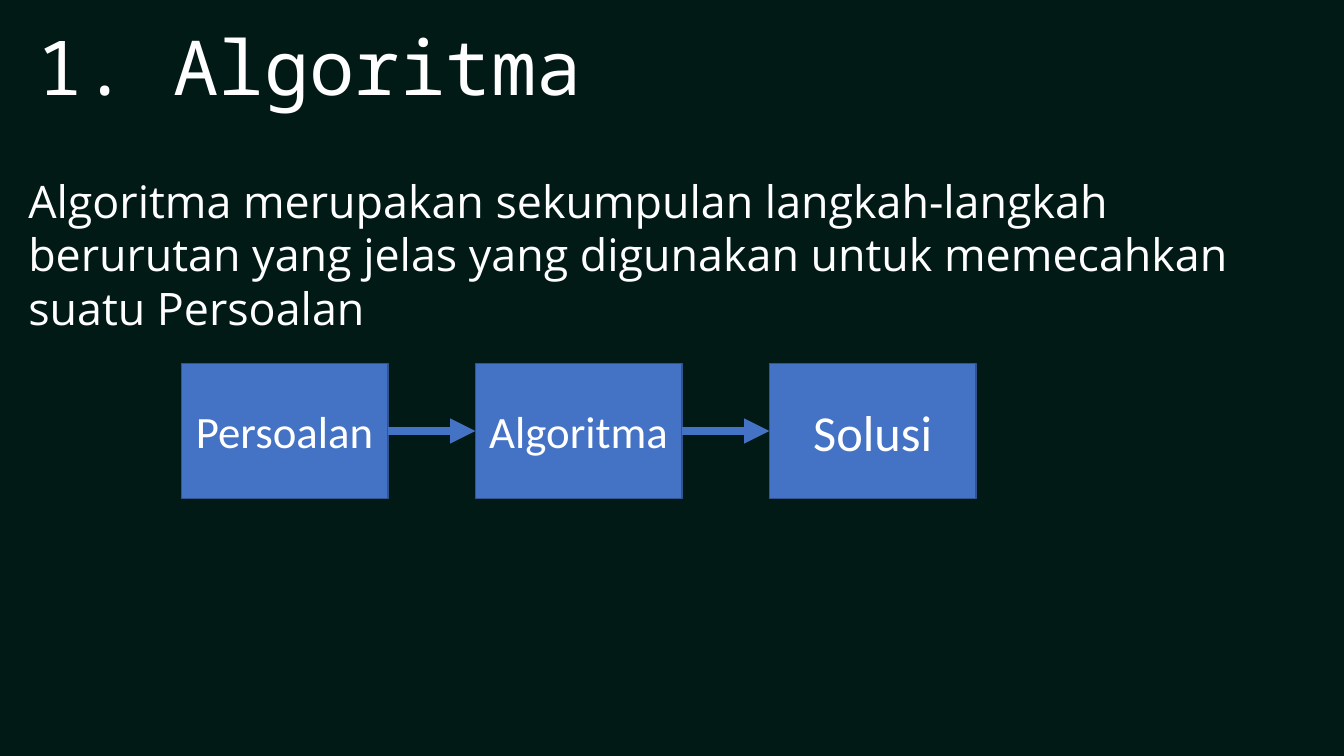
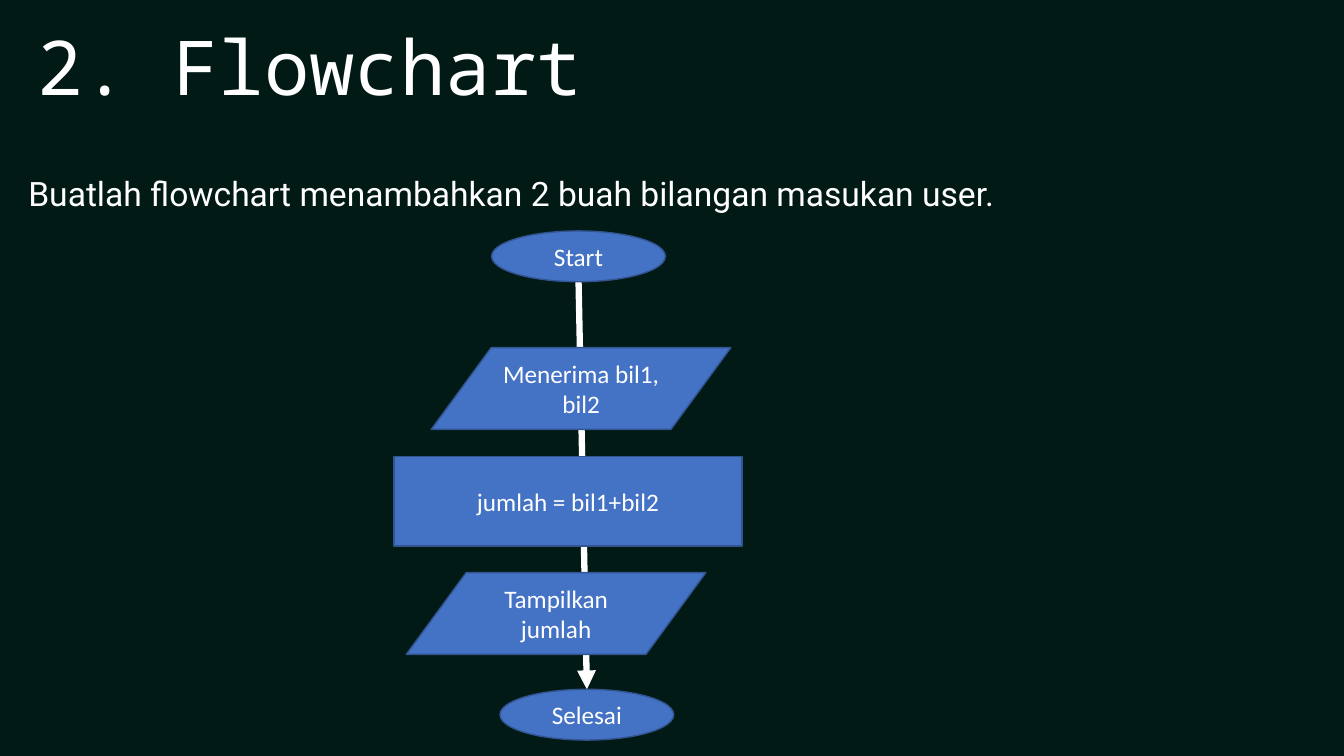
from lxml import etree
from pptx import Presentation
from pptx.dml.color import RGBColor
from pptx.enum.shapes import MSO_CONNECTOR, MSO_SHAPE
from pptx.enum.text import MSO_ANCHOR, MSO_AUTO_SIZE, PP_ALIGN
from pptx.oxml.ns import qn
from pptx.util import Cm, Pt

LEFT, CENTER = PP_ALIGN.LEFT, PP_ALIGN.CENTER
TOP, MIDDLE = MSO_ANCHOR.TOP, MSO_ANCHOR.MIDDLE
NO_FIT = MSO_AUTO_SIZE.NONE
STRAIGHT = MSO_CONNECTOR.STRAIGHT
RECT, OVAL = MSO_SHAPE.RECTANGLE, MSO_SHAPE.OVAL
DATA, PROCESS = MSO_SHAPE.FLOWCHART_DATA, MSO_SHAPE.FLOWCHART_PROCESS

DARK, WHITE, BLUE, EDGE = "011A16", "FFFFFF", "4472C4", "325491"
TITLE_BOX = (0.69, 0.38, 27.1, 2.57)
BODY_LEFT, BODY_TOP, BODY_WIDTH = 0.46, 4.24, 32.97


def paint(fmt, color):
    """Give a fill a solid colour from a hex string."""
    fmt.solid()
    fmt.fore_color.rgb = RGBColor.from_string(color)


def write(tf, text, font="Calibri", size=18, color=WHITE, align=CENTER, anchor=MIDDLE):
    """Write one formatted paragraph into a text frame."""
    tf.word_wrap = True
    tf.auto_size = NO_FIT
    tf.vertical_anchor = anchor
    p = tf.paragraphs[0]
    p.alignment = align
    p.space_before = Pt(0)
    r = p.add_run()
    r.text = text
    r.font.name = font
    r.font.size = Pt(size)
    paint(r.font.fill, color)
    return p


def place(sp, box):
    """Move a shape to a box given in centimetres."""
    sp.left, sp.top, sp.width, sp.height = (Cm(v) for v in box)


def add_topic_slide(prs, title, body, body_height, font, size):
    """Add a slide with its heading and explanatory text."""
    s = prs.slides.add_slide(prs.slide_layouts[1])
    heading, content = s.shapes.title, s.placeholders[1]
    place(heading, TITLE_BOX)
    write(heading.text_frame, title, font="Noto Sans Mono", size=54, align=LEFT, anchor=TOP)
    place(content, (BODY_LEFT, BODY_TOP, BODY_WIDTH, body_height))
    p = write(content.text_frame, body, font=font, size=size, align=LEFT, anchor=TOP)
    pPr = p._p.get_or_add_pPr()
    pPr.set("marL", "0")
    pPr.set("indent", "0")
    etree.SubElement(pPr, qn("a:buNone"))
    return s


def add_node(s, kind, text, box, size=18):
    """Add one labelled diagram shape."""
    sp = s.shapes.add_shape(kind, *(Cm(v) for v in box))
    sp.shadow.inherit = False
    paint(sp.fill, BLUE)
    paint(sp.line.fill, EDGE)
    sp.line.width = Pt(1)
    write(sp.text_frame, text, size=size)
    return sp


def add_arrow(s, start, end, color, width):
    """Add a straight arrow between two points in centimetres."""
    c = s.shapes.add_connector(STRAIGHT, *(Cm(v) for v in (*start, *end)))
    paint(c.line.fill, color)
    c.line.width = Pt(width)
    spPr = c._element.spPr
    etree.SubElement(spPr.find(qn("a:ln")), qn("a:tailEnd"), type="triangle")
    etree.SubElement(spPr, qn("a:effectLst"))
    return c


def add_process_row(s, left, top, steps, width=5.21, height=3.4, gap=2.2):
    """Lay out steps in a row and join neighbours with arrows."""
    previous = None
    middle = top + height / 2
    for i, (text, size) in enumerate(steps):
        x = left + i * (width + gap)
        node = add_node(s, RECT, text, (x, top, width, height), size)
        if previous:
            c = add_arrow(s, (x - gap, middle), (x, middle), BLUE, 6)
            c.begin_connect(previous, 3)
            c.end_connect(node, 1)
        previous = node


def add_flowchart(s, left, top, steps):
    """Draw steps downwards over one arrow from the first to the last."""
    sizes = {OVAL: (4.38, 1.28), DATA: (7.55, 2.06), PROCESS: (8.77, 2.25)}
    boxes = [(left + dx, top + dy, *sizes[kind]) for kind, text, dx, dy in steps]
    (x1, y1, w1, h1), (x2, y2, w2, h2) = boxes[0], boxes[-1]
    add_arrow(s, (x1 + w1 / 2, y1 + h1), (x2 + w2 / 2, y2), WHITE, 4.5)
    for (kind, text, dx, dy), box in zip(steps, boxes):
        add_node(s, kind, text, box)


def main():
    """Build and save the presentation."""
    prs = Presentation()
    prs.slide_width, prs.slide_height = Cm(33.87), Cm(19.05)
    paint(prs.slide_master.background.fill, DARK)

    s = add_topic_slide(
        prs, "1. Algoritma",
        "Algoritma merupakan sekumpulan langkah-langkah berurutan yang jelas "
        "yang digunakan untuk memecahkan suatu Persoalan",
        4.37, "Open Sans", 32)
    add_process_row(s, 4.57, 9.16, [("Persoalan", 32), ("Algoritma", 32), ("Solusi", 36)])

    s = add_topic_slide(
        prs, "2. Flowchart",
        "Buatlah flowchart menambahkan 2 buah bilangan masukan user.",
        1.27, "Roboto", 24)
    add_flowchart(s, 9.93, 5.82, [
        (OVAL, "Start", 2.46, 0),
        (DATA, "Menerima bil1, bil2", 0.94, 2.94),
        (PROCESS, "jumlah = bil1+bil2", 0, 5.69),
        (DATA, "Tampilkan jumlah", 0.31, 8.61),
        (OVAL, "Selesai", 2.67, 11.55),
    ])
    prs.save("out.pptx")


if __name__ == "__main__":
    main()
